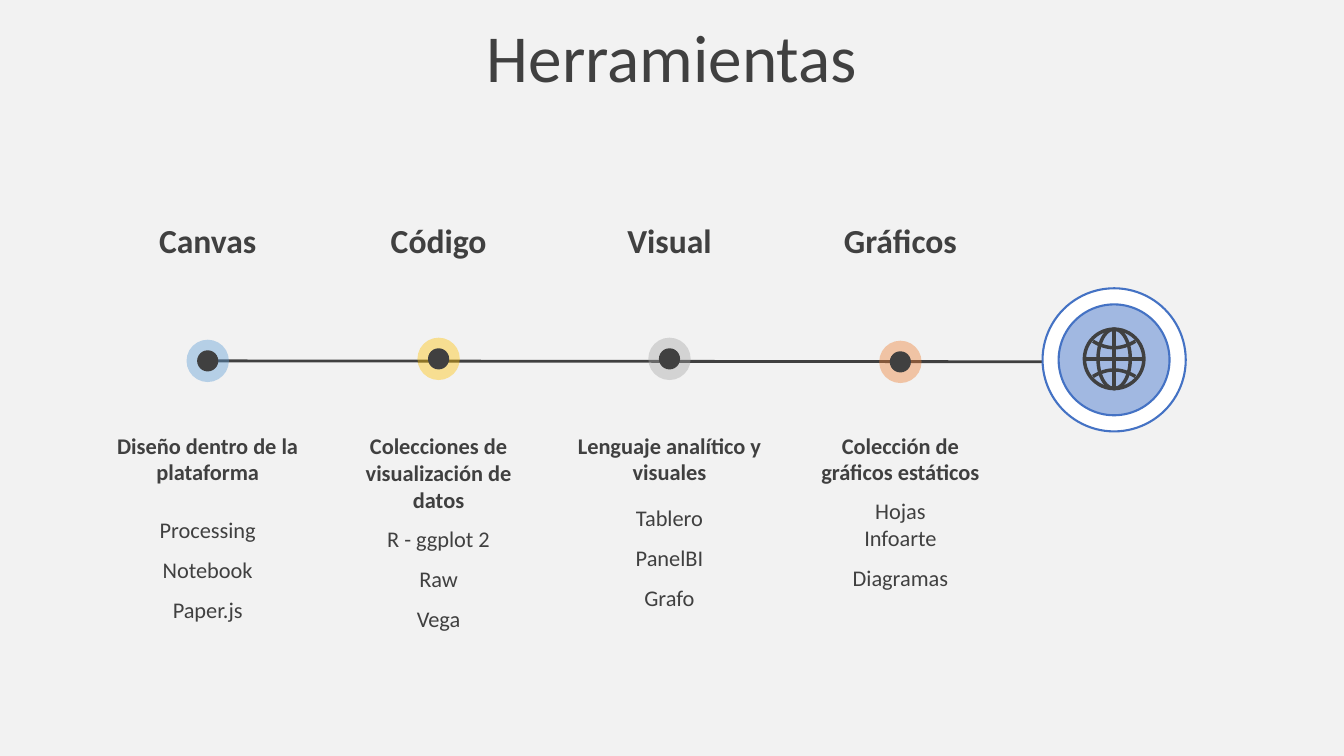
from dataclasses import dataclass

from lxml import etree
from pptx import Presentation
from pptx.dml.color import RGBColor
from pptx.enum import shapes, text
from pptx.oxml import ns
from pptx.util import Inches, Pt

FONT = "Calibri"
DARK, BLUE, WHITE, PAPER = "404040", "4472C4", "FFFFFF", "F2F2F2"
FIRST_X, STEP = 2.06, 2.29
HUB_X, HUB_Y = 11.05, 3.57
GLOBE_Y, GLOBE_R, GLOBE_STROKE = 3.56, 0.295, 2.5


@dataclass
class Stage:
    name: str
    color: str
    dot_y: float
    summary: str
    summary_height: float
    tools: list[str]
    tools_top: float
    tools_height: float
    spacings: tuple[float, ...] = (1.5, 1.5, 1.5)


STAGES = [
    Stage("Canvas", "5B9BD5", 3.58, "Diseño dentro de la plataforma", 0.64,
          ["Processing", "Notebook", "Paper.js"], 4.95, 1.27),
    Stage("Código", "FFC000", 3.56, "Colecciones de visualización de datos", 0.91,
          ["R - ggplot 2", "Raw", "Vega"], 5.04, 1.27),
    Stage("Visual", "A5A5A5", 3.56, "Lenguaje analítico y visuales", 0.64,
          ["Tablero", "PanelBI", "Grafo"], 4.83, 1.27),
    Stage("Gráficos", "ED7D31", 3.59, "Colección de gráficos estáticos", 0.64,
          ["Hojas", "Infoarte", "Diagramas"], 4.9, 1.0, (1.0, 1.0, 1.5)),
]


def paint(fill, color: str, opacity: int = 100) -> None:
    fill.solid()
    fill.fore_color.rgb = RGBColor.from_string(color)
    if opacity < 100:
        srgb = fill._xPr.find(".//" + ns.qn("a:srgbClr"))
        etree.SubElement(srgb, ns.qn("a:alpha"), val=str(opacity * 1000))


def stroke(line, color: str, points: float) -> None:
    paint(line.fill, color)
    line.width = Pt(points)


def add_ellipse(slide, x: float, y: float, width: float, height: float,
                fill: str = "", opacity: int = 100,
                outline: str = "", points: float = 1.5) -> None:
    """Draw an ellipse centred on x, y."""
    ellipse = slide.shapes.add_shape(
        shapes.MSO_SHAPE.OVAL, Inches(x - width / 2), Inches(y - height / 2),
        Inches(width), Inches(height))
    ellipse.shadow.inherit = False
    if fill:
        paint(ellipse.fill, fill, opacity)
    else:
        ellipse.fill.background()
    if outline:
        stroke(ellipse.line, outline, points)
    else:
        ellipse.line.fill.background()


def add_line(slide, x1: float, y1: float, x2: float, y2: float, points: float) -> None:
    line = slide.shapes.add_connector(
        shapes.MSO_CONNECTOR.STRAIGHT, Inches(x1), Inches(y1), Inches(x2), Inches(y2))
    stroke(line.line, DARK, points)
    etree.SubElement(line._element.spPr, ns.qn("a:effectLst"))


def add_run(paragraph, words: str, size: float, bold: bool = False) -> None:
    paragraph.alignment = text.PP_ALIGN.CENTER
    run = paragraph.add_run()
    run.text = words
    run.font.name = FONT
    run.font.size = Pt(size)
    run.font.bold = bold
    run.font.color.rgb = RGBColor.from_string(DARK)


def add_text(slide, center: float, top: float, width: float, height: float,
             lines: list[str], size: float, bold: bool = False,
             spacings: tuple[float, ...] = (1.0,)) -> None:
    box = slide.shapes.add_textbox(
        Inches(center - width / 2), Inches(top), Inches(width), Inches(height))
    frame = box.text_frame
    frame.word_wrap = True
    frame.auto_size = text.MSO_AUTO_SIZE.SHAPE_TO_FIT_TEXT
    frame.vertical_anchor = text.MSO_ANCHOR.MIDDLE
    for index, (words, spacing) in enumerate(zip(lines, spacings)):
        paragraph = frame.add_paragraph() if index else frame.paragraphs[0]
        paragraph.line_spacing = spacing
        add_run(paragraph, words, size, bold)


def add_title(slide, words: str) -> None:
    title = slide.shapes.title
    title.left, title.top = Inches(0), Inches(0.18)
    title.width, title.height = Inches(13.33), Inches(0.84)
    frame = title.text_frame
    frame.auto_size = text.MSO_AUTO_SIZE.NONE
    frame.vertical_anchor = text.MSO_ANCHOR.MIDDLE
    paragraph = frame.paragraphs[0]
    paragraph.line_spacing = 0.9
    paragraph.space_before = Pt(10)
    add_run(paragraph, words, 48)


def add_parallel(slide, side: int) -> None:
    """Draw a curved globe parallel, above (-1) or below (1) the equator."""
    half_width, steps = 0.21, 8
    points = []
    for step in range(-steps, steps + 1):
        t = step / steps
        points.append((Inches(HUB_X + half_width * t),
                       Inches(GLOBE_Y + side * (0.11 + 0.065 * t * t))))
    builder = slide.shapes.build_freeform(*points[0])
    builder.add_line_segments(points[1:], close=False)
    arc = builder.convert_to_shape()
    arc.shadow.inherit = False
    arc.fill.background()
    stroke(arc.line, DARK, GLOBE_STROKE)


def add_globe(slide) -> None:
    for width in (2 * GLOBE_R, 0.32):
        add_ellipse(slide, HUB_X, GLOBE_Y, width, 2 * GLOBE_R,
                    outline=DARK, points=GLOBE_STROKE)
    for dx, dy in ((GLOBE_R, 0), (0, GLOBE_R)):
        add_line(slide, HUB_X - dx, GLOBE_Y - dy, HUB_X + dx, GLOBE_Y + dy, GLOBE_STROKE)
    for side in (-1, 1):
        add_parallel(slide, side)


def add_stage(slide, stage: Stage, center: float) -> None:
    add_ellipse(slide, center, stage.dot_y, 0.42, 0.42, stage.color, 40)
    add_ellipse(slide, center, stage.dot_y, 0.21, 0.21, DARK)
    add_text(slide, center, 2.13, 1.49, 0.5, [stage.name], 24, True)
    add_text(slide, center, 4.23, 2.05, stage.summary_height, [stage.summary], 16, True)
    add_text(slide, center, stage.tools_top, 2.05, stage.tools_height,
             stage.tools, 16, spacings=stage.spacings)


def main() -> None:
    deck = Presentation()
    deck.slide_width, deck.slide_height = Inches(13.33), Inches(7.5)
    slide = deck.slides.add_slide(deck.slide_layouts.get_by_name("Title Only"))
    paint(slide.background.fill, PAPER)
    add_title(slide, "Herramientas")
    add_line(slide, 1.96, 3.58, 11.16, 3.59, 2)
    add_ellipse(slide, HUB_X, HUB_Y, 1.42, 1.42, WHITE, outline=BLUE)
    add_ellipse(slide, HUB_X, HUB_Y, 1.1, 1.1, BLUE, 50, BLUE)
    add_globe(slide)
    for index, stage in enumerate(STAGES):
        add_stage(slide, stage, FIRST_X + index * STEP)
    deck.save("out.pptx")


if __name__ == "__main__":
    main()
